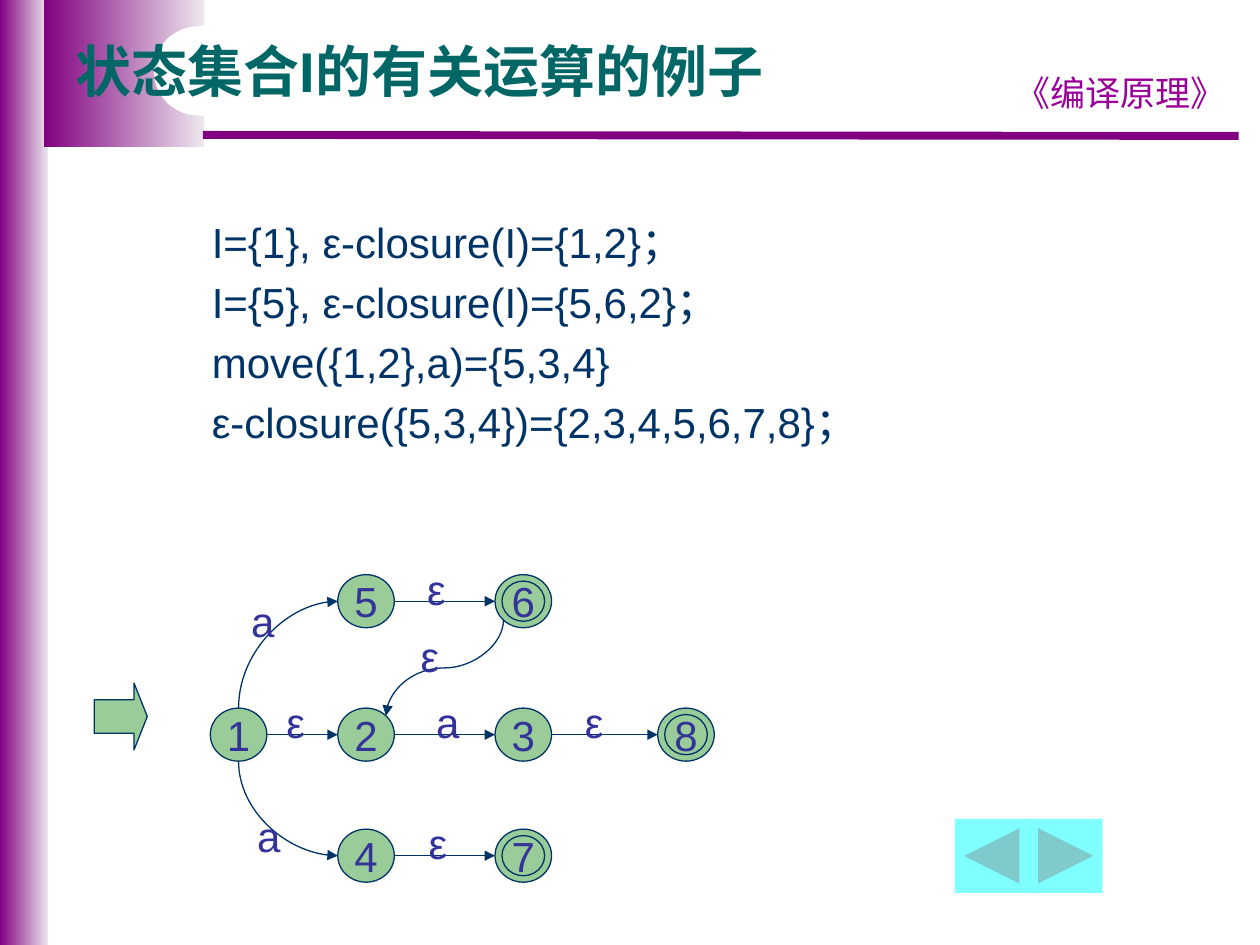
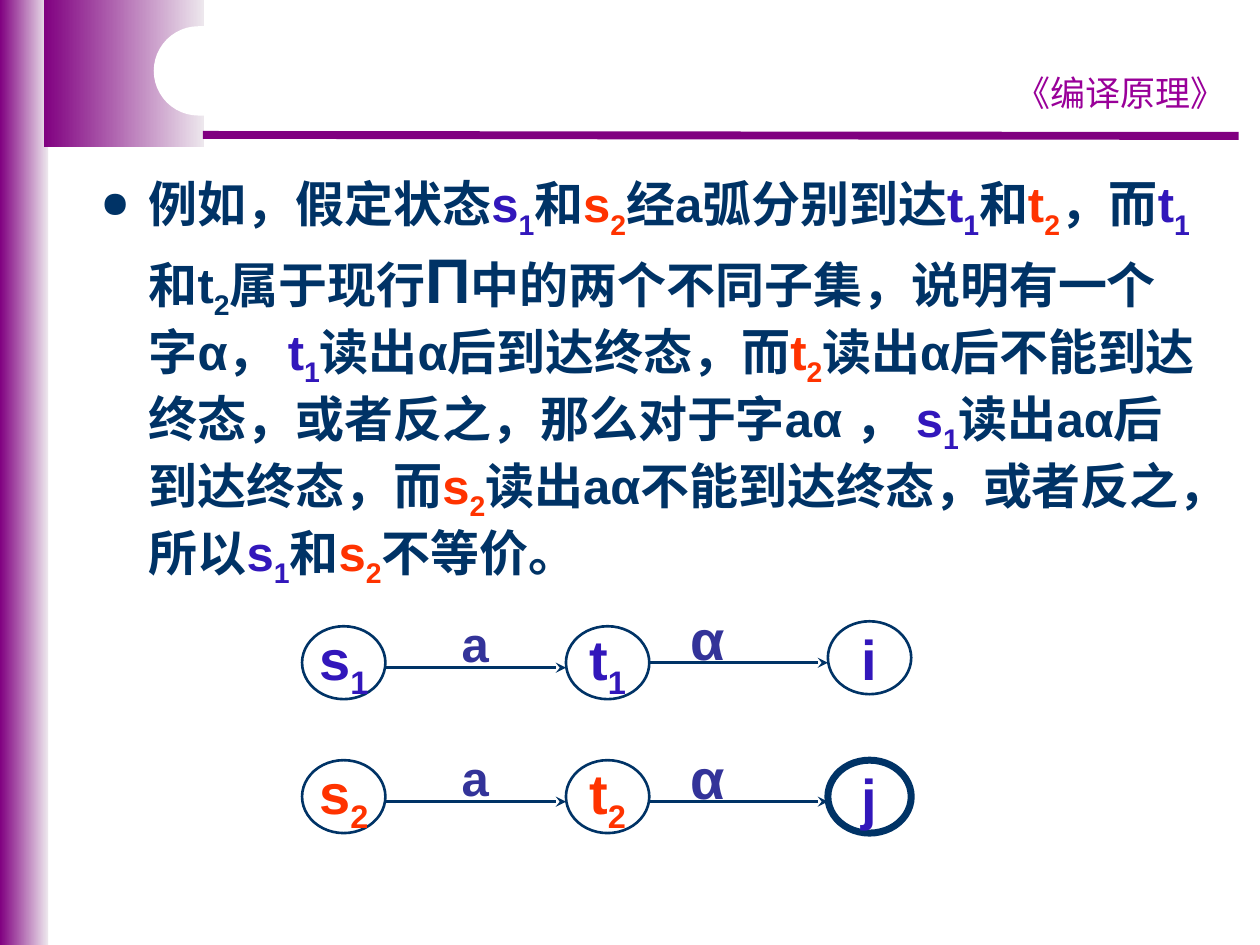
"""Build two slides on state sets and state equivalence of automata."""
import lxml.etree
import pptx
import pptx.dml.color
import pptx.enum.shapes
import pptx.enum.text
import pptx.oxml.ns
import pptx.util

Cm, Pt = pptx.util.Cm, pptx.util.Pt
RGB = pptx.dml.color.RGBColor
KIND = pptx.enum.shapes.MSO_SHAPE
LINK = pptx.enum.shapes.MSO_CONNECTOR
ALIGN = pptx.enum.text.PP_ALIGN
ANCHOR = pptx.enum.text.MSO_ANCHOR
qn = pptx.oxml.ns.qn

PURPLE = RGB(0x80, 0x00, 0x80)
PALE = RGB(0xED, 0xE7, 0xED)
PLUM = RGB(0x99, 0x00, 0x99)
WHITE = RGB(0xFF, 0xFF, 0xFF)
TEAL = RGB(0x00, 0x66, 0x66)
INK = RGB(0x00, 0x33, 0x66)
INDIGO = RGB(0x33, 0x33, 0x99)
GREEN = RGB(0x99, 0xCC, 0x99)
CYAN = RGB(0x00, 0xFF, 0xFF)
BLUE = RGB(0x32, 0x17, 0xBB)
RED = RGB(0xFF, 0x33, 0x00)

COURSE = "《编译原理》"
TITLE = "状态集合I的有关运算的例子"
SETS = """I={1}, ε-closure(I)={1,2}；
I={5}, ε-closure(I)={5,6,2}；
move({1,2},a)={5,3,4}
ε-closure({5,3,4})={2,3,4,5,6,7,8}；"""
PROOF = (
    "例如，假定状态|s_1|和|s_2|经a弧分别到达|t_1|和|t_2|，而|t_1|和t_2|属于现行|Π|"
    "中的两个不同子集，说明有一个字α， |t_1|读出α后到达终态，而|t_2|"
    "读出α后不能到达终态，或者反之，那么对于字aα ， |s_1|读出aα后到达终态，而|s_2|"
    "读出aα不能到达终态，或者反之，所以|s_1|和|s_2|不等价。"
)
TINTS = {"s_1": BLUE, "t_1": BLUE, "s_2": RED, "t_2": RED, "i": BLUE, "j": BLUE}
SIZES = {"Π": 36}

COLS = (4.81, 7.38, 10.55, 13.83)
ROWS = (12.12, 14.81, 17.25)
STATES = {"1": (0, 1), "2": (1, 1), "5": (1, 0), "3": (2, 1),
          "4": (1, 2), "6": (2, 0), "8": (3, 1), "7": (2, 2)}
FINAL = "678"
WIDE, HIGH = 1.14, 1.07
MOVES = ("47", "23", "56", "12", "38")
MARKS = (("a", 5.3, 12.52), ("a", 5.42, 16.84), ("ε", 5.96, 14.55),
         ("ε", 8.67, 13.21), ("ε", 8.8, 11.86), ("ε", 11.98, 14.55),
         ("ε", 8.83, 16.99), ("a", 9.03, 14.55))

CHAINS = ((("s_1", 13.36), ("t_1", 13.36), ("i", 13.26)),
          (("s_2", 16.06), ("t_2", 16.06), ("j", 16.06)))
STOPS = (6.93, 12.25, 17.53)
STEPS = (("a", 9.58, 28), ("α", 14.27, 32))
OVAL = (1.68, 1.47)


def write(shape, text, size=24, color=INK, bold=False, font="Arial", align=ALIGN.LEFT,
          anchor=ANCHOR.TOP, wrap=True, gap=0, line=None, bullet=False):
    """Fill a shape with paragraphs; '|' parts runs and '_' lowers the rest."""
    frame = shape.text_frame
    frame.word_wrap = wrap
    frame.vertical_anchor = anchor
    for n, row in enumerate(text.split("\n")):
        para = frame.add_paragraph() if n else frame.paragraphs[0]
        if bullet:
            dot(para)
        para.alignment = align
        para.space_before = Pt(gap if n else 0)
        if line:
            para.line_spacing = line
        for part in row.split("|"):
            for low, bit in enumerate(part.split("_")):
                run = para.add_run()
                run.text = bit
                run.font.name = font
                run.font.size = Pt(SIZES.get(part, size))
                run.font.bold = bold
                run.font.color.rgb = TINTS.get(part, color)
                if low:
                    run._r.get_or_add_rPr().set("baseline", "-25000")


def dot(para):
    """Give a paragraph a hanging round bullet."""
    props = para._p.get_or_add_pPr()
    props.set("marL", str(Cm(0.97)))
    props.set("indent", str(-Cm(0.97)))
    tint = lxml.etree.SubElement(props, qn("a:buClr"))
    lxml.etree.SubElement(tint, qn("a:srgbClr"), val=str(INK))
    lxml.etree.SubElement(props, qn("a:buSzPct"), val="75000")
    lxml.etree.SubElement(props, qn("a:buChar"), char="●")


def draw(slide, kind, x, y, w, h, fill=None, edge=None, width=0.75):
    """Add a preset shape; a pair of fills makes a gradient."""
    shape = slide.shapes.add_shape(kind, Cm(x), Cm(y), Cm(w), Cm(h))
    shape.shadow.inherit = False
    if isinstance(fill, list):
        shape.fill.gradient()
        shape.fill.gradient_angle = 0
        for stop, color in zip(shape.fill.gradient_stops, fill):
            stop.color.rgb = color
    elif fill is not None:
        shape.fill.solid()
        shape.fill.fore_color.rgb = fill
    else:
        shape.fill.background()
    if edge is not None:
        shape.line.color.rgb = edge
        shape.line.width = Pt(width)
    else:
        shape.line.fill.background()
    return shape


def oval(slide, x, y, w, h, **look):
    """Add an ellipse around a centre."""
    return draw(slide, KIND.OVAL, x - w / 2, y - h / 2, w, h, edge=INK, **look)


def box(slide, x, y, w, h, text, **form):
    """Add a text box."""
    write(slide.shapes.add_textbox(Cm(x), Cm(y), Cm(w), Cm(h)), text, **form)


def label(slide, x, y, text, **form):
    """Add a centred label around a point."""
    box(slide, x - 0.6, y - 0.64, 1.2, 1.28, text, color=INDIGO, align=ALIGN.CENTER,
        anchor=ANCHOR.MIDDLE, wrap=False, **form)


def link(slide, x1, y1, x2, y2, color=INK, width=0.75, head=None, kind=LINK.STRAIGHT):
    """Add a line, with an arrowhead at its end if one is named."""
    edge = slide.shapes.add_connector(kind, Cm(x1), Cm(y1), Cm(x2), Cm(y2))
    edge.line.color.rgb = color
    edge.line.width = Pt(width)
    if head:
        lxml.etree.SubElement(edge.line._get_or_add_ln(), qn("a:tailEnd"), type=head)
    lxml.etree.SubElement(edge._element.spPr, qn("a:effectLst"))
    return edge


def bend(slide, x1, y1, x2, y2, turn, flip=False, shape="curvedConnector2"):
    """Add a curved arrow that leaves its start upright."""
    wide, high = abs(y2 - y1) / 2, abs(x2 - x1) / 2
    x, y = (x1 + x2) / 2, (y1 + y2) / 2
    if flip:
        wide = -wide
    edge = link(slide, x - wide, y - high, x + wide, y + high,
                head="triangle", kind=LINK.CURVE)
    props = edge._element.spPr
    props.find(qn("a:xfrm")).set("rot", str(turn * 60000))
    props.find(qn("a:prstGeom")).set("prst", shape)


def frame(slide):
    """Draw the bands, rule and course name that all slides share."""
    for x, w, h in ((0, 0.97, 19.05), (0.89, 3.22, 2.97)):
        draw(slide, KIND.RECTANGLE, x, 0, w, h, fill=[PURPLE, PALE])
    link(slide, 4.09, 2.72, 24.97, 2.74, color=PURPLE, width=4.5)
    box(slide, 20.09, 1.32, 5, 1.09, COURSE, size=20, color=PLUM,
        font="Comic Neue", align=ALIGN.CENTER)
    pill = draw(slide, KIND.ROUNDED_RECTANGLE, 3.1, 0.53, 9.19, 1.8, fill=WHITE)
    pill.adjustments[0] = 0.5


def graph(slide):
    """Draw the automaton with its states, moves and marks."""
    spots = {name: (COLS[c], ROWS[r]) for name, (c, r) in STATES.items()}
    for name, (x, y) in spots.items():
        node = oval(slide, x, y, WIDE, HIGH, fill=GREEN)
        if name in FINAL:
            node = oval(slide, x, y, 0.86, 0.81, fill=GREEN)
        write(node, name, color=INDIGO, align=ALIGN.CENTER,
              anchor=ANCHOR.MIDDLE, wrap=False)
    for start, end in MOVES:
        (x1, y1), (x2, y2) = spots[start], spots[end]
        link(slide, x1 + WIDE / 2, y1, x2 - WIDE / 2, y2, head="triangle")
    x, y = spots["1"]
    for end, side, flip in (("5", -1, False), ("4", 1, True)):
        x2, y2 = spots[end]
        bend(slide, x, y + side * HIGH / 2, x2 - WIDE / 2, y2, 270, flip)
    (x1, y1), (x2, y2) = spots["6"], spots["2"]
    bend(slide, x1 - 0.4, y1 + 0.38, x2 + 0.4, y2 - 0.38, 90, shape="curvedConnector3")
    for text, x, y in MARKS:
        label(slide, x, y, text)


def sets(deck):
    """Build the slide on state set operations."""
    slide = deck.slides.add_slide(deck.slide_layouts[5])
    frame(slide)
    title = slide.shapes.title
    title.left, title.top, title.width, title.height = Cm(1.27), Cm(0.76), Cm(22.86), Cm(3.18)
    write(title, TITLE, size=32, color=TEAL, bold=True, line=0.9)
    slide.shapes._spTree.append(title._element)
    box(slide, 4.02, 4.24, 20, 5.5, SETS, gap=5.5)
    keys = (KIND.ACTION_BUTTON_BACK_OR_PREVIOUS, KIND.ACTION_BUTTON_FORWARD_OR_NEXT)
    for n, kind in enumerate(keys):
        key = draw(slide, kind, 19.25 + 1.49 * n, 16.51, 1.49, 1.49, fill=CYAN)
        tint = key._element.spPr.find(qn("a:solidFill")).find(qn("a:srgbClr"))
        lxml.etree.SubElement(tint, qn("a:alpha"), val="50000")
    graph(slide)
    arrow = draw(slide, KIND.RIGHT_ARROW, 1.9, 13.77, 1.07, 1.35, fill=GREEN, edge=INK)
    arrow.adjustments[0], arrow.adjustments[1] = 0.5, 0.25


def proof(deck):
    """Build the slide on states that are not equivalent."""
    slide = deck.slides.add_slide(deck.slide_layouts[6])
    frame(slide)
    box(slide, 1.78, 3.38, 22.63, 9, PROOF, size=28, bold=True, bullet=True)
    for chain in CHAINS:
        for x, (name, y) in zip(STOPS, chain):
            node = oval(slide, x, y, *OVAL, width=4 if name == "j" else 1.5)
            write(node, name, size=32, bold=True, align=ALIGN.CENTER,
                  anchor=ANCHOR.MIDDLE, wrap=False)
        for n, (text, x, size) in enumerate(STEPS):
            y = chain[n + 1][1]
            link(slide, STOPS[n] + OVAL[0] / 2, y + 0.1, STOPS[n + 1] - OVAL[0] / 2, y + 0.1,
                 width=1.5, head="stealth")
            label(slide, x, y - 0.4, text, size=size, bold=True)


def main():
    """Make the deck and save it."""
    deck = pptx.Presentation()
    deck.slide_width, deck.slide_height = Cm(25.4), Cm(19.05)
    sets(deck)
    proof(deck)
    deck.save("out.pptx")


if __name__ == "__main__":
    main()
